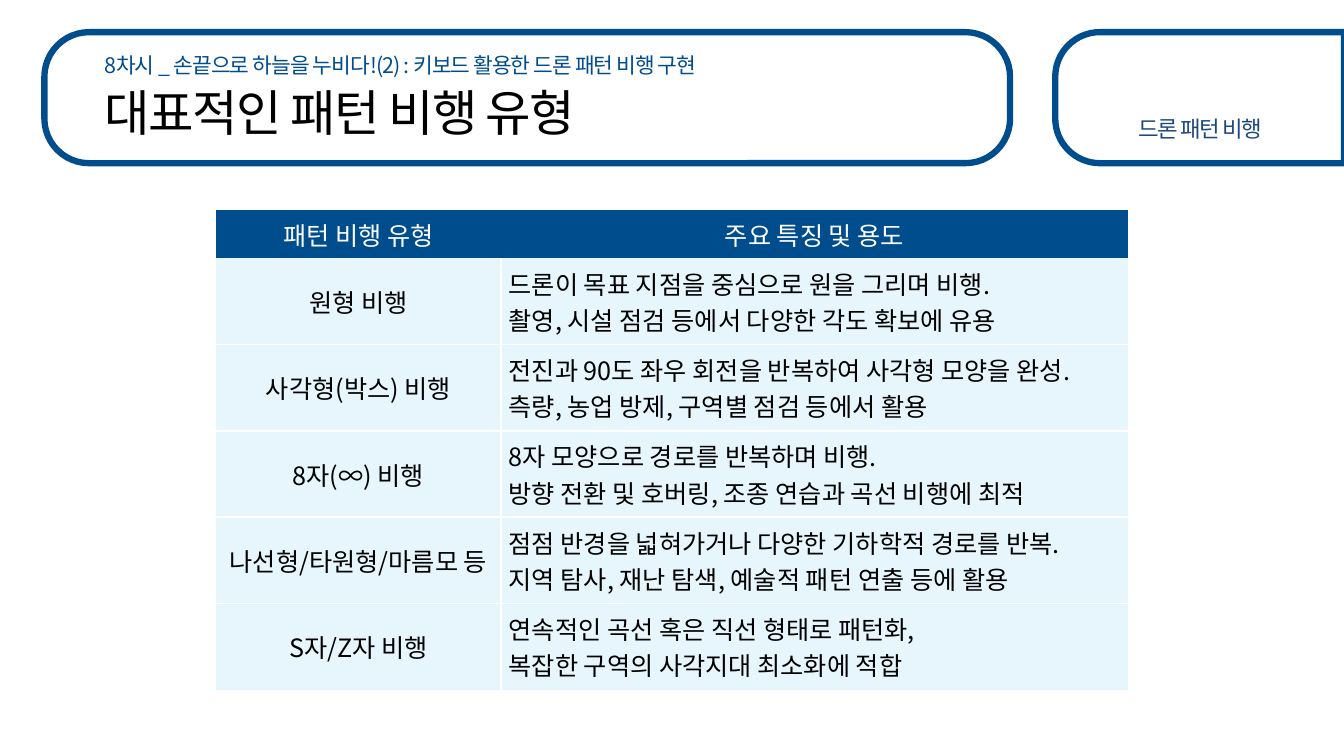
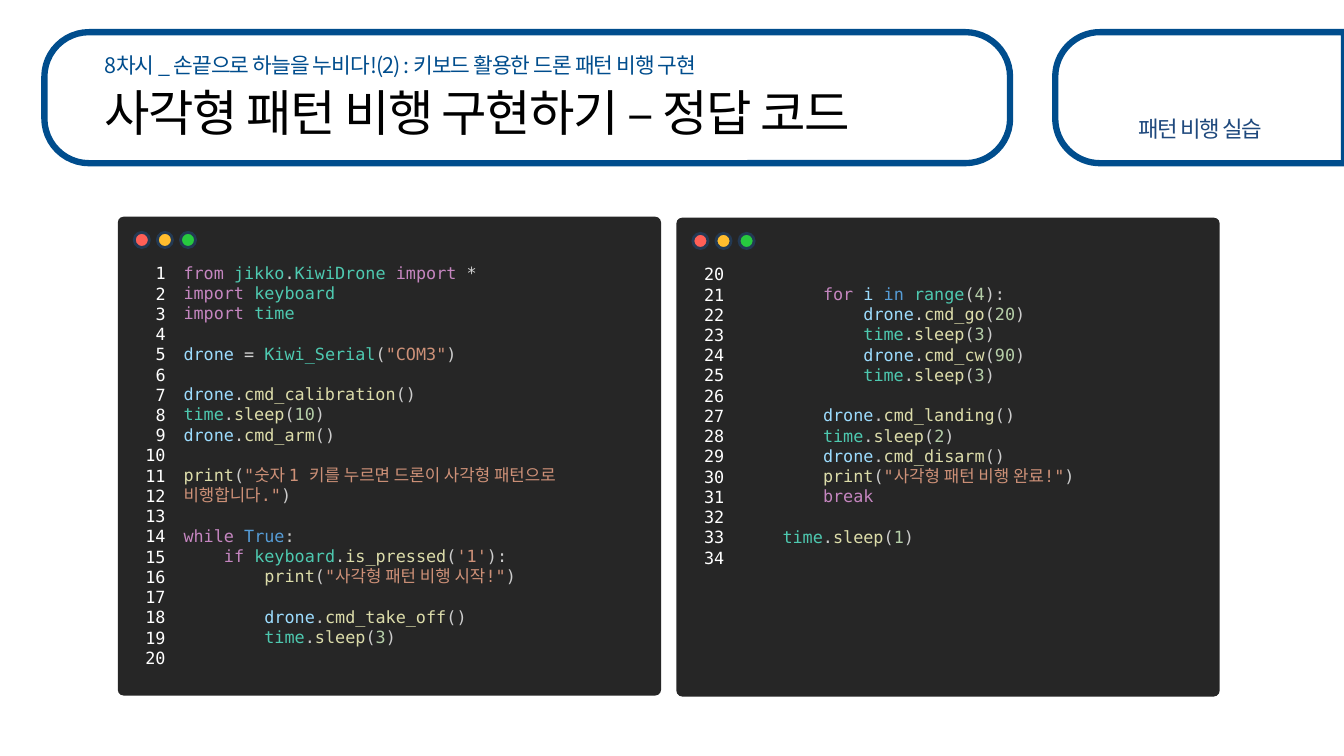
"""Builds two lesson slides on drone flight patterns: a table and a code answer."""
import math

import pptx
import pptx.dml.color
import pptx.enum.shapes
import pptx.enum.text
import pptx.oxml.ns
import pptx.util
from lxml import etree

Pt = pptx.util.Pt
RGBColor = pptx.dml.color.RGBColor
SHAPE = pptx.enum.shapes.MSO_SHAPE
ALIGN = pptx.enum.text.PP_ALIGN
qn = pptx.oxml.ns.qn

NAVY = RGBColor(0x00, 0x4D, 0x8D)
SLATE = RGBColor(0x1F, 0x49, 0x7D)
WHITE = RGBColor(0xFF, 0xFF, 0xFF)
BLACK = RGBColor(0x00, 0x00, 0x00)
PALE = RGBColor(0xE7, 0xF6, 0xFD)
PANEL = RGBColor(0x26, 0x26, 0x26)
DOT_EDGE = RGBColor(0x23, 0x39, 0x53)
DOTS = (RGBColor(0xFF, 0x5F, 0x56), RGBColor(0xFF, 0xBD, 0x2E), RGBColor(0x27, 0xC9, 0x3F))
KEYWORD = RGBColor(0xC5, 0x86, 0xC0)
TYPE = RGBColor(0x4E, 0xC9, 0xB0)
PLAIN = RGBColor(0xCC, 0xCC, 0xCC)
OPERATOR = RGBColor(0xD4, 0xD4, 0xD4)
VARIABLE = RGBColor(0x9C, 0xDC, 0xFE)
FUNCTION = RGBColor(0xDC, 0xDC, 0xAA)
STRING = RGBColor(0xCE, 0x91, 0x78)
NUMBER = RGBColor(0xB5, 0xCE, 0xA8)
CONSTANT = RGBColor(0x56, 0x9C, 0xD6)

SANS = "Noto Sans CJK KR"
MONO = "DejaVu Sans Mono"
SLIDE_WIDTH, SLIDE_HEIGHT = 960, 540
BAND_TOP, BAND_HEIGHT, BAND_RADIUS = 23, 93.6, 31.9
CODE_PITCH = 14.45

LESSON = ("8차시 _ ", "손끝으로 하늘을 누비다!(2) : 키보드 활용한 드론 패턴 비행 구현")

TABLE_HEAD = ("패턴 비행 유형", "주요 특징 및 용도")
TABLE_ROWS = [
    ("원형 비행",
     ("드론이 목표 지점을 중심으로 원을 그리며 비행.", "촬영, 시설 점검 등에서 다양한 각도 확보에 유용")),
    ("사각형(박스) 비행",
     ("전진과 90도 좌우 회전을 반복하여 사각형 모양을 완성.", "측량, 농업 방제, 구역별 점검 등에서 활용")),
    ("8자(∞) 비행",
     ("8자 모양으로 경로를 반복하며 비행.", "방향 전환 및 호버링, 조종 연습과 곡선 비행에 최적")),
    ("나선형/타원형/마름모 등",
     ("점점 반경을 넓혀가거나 다양한 기하학적 경로를 반복.", "지역 탐사, 재난 탐색, 예술적 패턴 연출 등에 활용")),
    ("S자/Z자 비행",
     ("연속적인 곡선 혹은 직선 형태로 패턴화,", "복잡한 구역의 사각지대 최소화에 적합")),
]

TOKEN_COLOURS = {
    KEYWORD: ("from", "import", "while", "if", "for", "break"),
    TYPE: ("jikko", "KiwiDrone", "keyboard", "time", "Kiwi_Serial", "range"),
    CONSTANT: ("True", "in"),
    VARIABLE: ("drone", "i"),
    OPERATOR: ("*", "="),
    FUNCTION: ("cmd_calibration", "sleep", "cmd_arm", "print", "is_pressed", "cmd_take_off",
               "cmd_go", "cmd_cw", "cmd_landing", "cmd_disarm"),
}
COLOUR_OF = {word: colour for colour, words in TOKEN_COLOURS.items() for word in words}

CODE_START = [
    "from |jikko|.|KiwiDrone |import |*",
    "import |keyboard",
    "import |time",
    "",
    "drone |= |Kiwi_Serial|(|\"COM3\"|)",
    "",
    "drone|.|cmd_calibration|()",
    "time|.|sleep|(|10|)",
    "drone|.|cmd_arm|()",
    "",
    "print|(|\"숫자 1 키를 누르면 드론이 사각형 패턴으로 비행합니다.\"|)",
    "",
    "while |True|:",
    "    |if |keyboard|.|is_pressed|(|'1'|):",
    "        |print|(|\"사각형 패턴 비행 시작!\"|)",
    "",
    "        |drone|.|cmd_take_off|()",
    "        |time|.|sleep|(|3|)",
]
CODE_END = [
    "",
    "        |for |i |in |range|(|4|):",
    "            |drone|.|cmd_go|(|20|)",
    "            |time|.|sleep|(|3|)",
    "            |drone|.|cmd_cw|(|90|)",
    "            |time|.|sleep|(|3|)",
    "",
    "        |drone|.|cmd_landing|()",
    "        |time|.|sleep|(|2|)",
    "        |drone|.|cmd_disarm|()",
    "        |print|(|\"사각형 패턴 비행 완료!\"|)",
    "        |break",
    "",
    "    |time|.|sleep|(|1|)",
]
CODE_PANELS = [
    (84.2, 154.8, CODE_START, range(1, 21)),
    (483.2, 155.5, CODE_END, range(20, 35)),
]


def add_span(para, text, size, colour, font=SANS, spacing=0):
    span = para.add_run()
    span.text = text
    span.font.size = Pt(size)
    span.font.name = font
    span.font.color.rgb = colour
    props = span._r.get_or_add_rPr()
    etree.SubElement(props, qn("a:ea")).set("typeface", SANS)
    if spacing:
        props.set("spc", str(round(spacing * 100)))


def add_box(page, left, top, width, height, inset=0):
    box = page.shapes.add_textbox(Pt(left), Pt(top), Pt(width), Pt(height))
    frame = box.text_frame
    frame.word_wrap = True
    frame.margin_top = frame.margin_bottom = Pt(inset)
    return frame


def paragraphs(frame, count):
    return [frame.paragraphs[0]] + [frame.add_paragraph() for _ in range(count - 1)]


def paint(shape, fill, line=None, weight=0):
    shape.shadow.inherit = False
    shape.fill.solid()
    shape.fill.fore_color.rgb = fill
    if line is None:
        shape.line.fill.background()
    else:
        shape.line.color.rgb = line
        shape.line.width = Pt(weight)


def add_shape(page, preset, left, top, width, height):
    return page.shapes.add_shape(preset, Pt(left), Pt(top), Pt(width), Pt(height))


def add_side_tab(page):
    left, bottom = 753.8, BAND_TOP + BAND_HEIGHT
    centre_x, steps = left + BAND_RADIUS, 16
    points = [(SLIDE_WIDTH, BAND_TOP), (SLIDE_WIDTH, bottom)]
    for centre_y, start in ((bottom - BAND_RADIUS, 90), (BAND_TOP + BAND_RADIUS, 180)):
        for step in range(steps + 1):
            angle = math.radians(start + 90 * step / steps)
            points.append((centre_x + BAND_RADIUS * math.cos(angle),
                           centre_y + BAND_RADIUS * math.sin(angle)))
    corners = [(Pt(x), Pt(y)) for x, y in points]
    builder = page.shapes.build_freeform(*corners[0])
    builder.add_line_segments(corners[1:], close=True)
    paint(builder.convert_to_shape(), WHITE, NAVY, 4.5)


def add_page(deck, title, topic):
    page = deck.slides.add_slide(deck.slide_layouts[6])
    add_side_tab(page)
    band = add_shape(page, SHAPE.ROUNDED_RECTANGLE, 31.7, BAND_TOP, 689.8, BAND_HEIGHT)
    band.adjustments[0] = BAND_RADIUS / BAND_HEIGHT
    paint(band, WHITE, NAVY, 4.5)
    para = add_box(page, 67.7, 37.4, 620, 22.3).paragraphs[0]
    for text, spacing in zip(LESSON, (-1, -0.7)):
        add_span(para, text, 15.3, NAVY, spacing=spacing)
    para = add_box(page, 67.7, 59, 620, 42.5).paragraphs[0]
    add_span(para, title, 35.3, BLACK, spacing=-1)
    para = add_box(page, 796.3, 82.1, 121.7, 28).paragraphs[0]
    para.alignment = ALIGN.CENTER
    add_span(para, topic, 16, SLATE, spacing=-1)
    return page


def add_border(cell, side):
    line = etree.SubElement(cell._tc.get_or_add_tcPr(), qn("a:ln" + side), w=str(Pt(1.5)))
    fill = etree.SubElement(line, qn("a:solidFill"))
    etree.SubElement(fill, qn("a:srgbClr"), val=str(WHITE))


def fill_cell(cell, lines, align, colour, fill, borders=""):
    for side in borders:
        add_border(cell, side)
    cell.fill.solid()
    cell.fill.fore_color.rgb = fill
    cell.vertical_anchor = pptx.enum.text.MSO_ANCHOR.MIDDLE
    cell.margin_left = cell.margin_right = Pt(5.6)
    cell.margin_top = cell.margin_bottom = Pt(2.8)
    for para, text in zip(paragraphs(cell.text_frame, len(lines)), lines):
        para.alignment = align
        add_span(para, text, 18, colour)


def add_pattern_table(page):
    widths, heights = (203.6, 448), [34.4] + [61.7] * len(TABLE_ROWS)
    frame = page.shapes.add_table(len(heights), len(widths), Pt(154.2), Pt(150),
                                  Pt(sum(widths)), Pt(sum(heights)))
    table = frame.table
    table.first_row = table.horz_banding = False
    style = table._tbl.tblPr.find(qn("a:tableStyleId"))
    style.text = "{2D5ABB26-0587-4C30-8999-92F81FD0307C}"
    for column, width in zip(table.columns, widths):
        column.width = Pt(width)
    for row, height in zip(table.rows, heights):
        row.height = Pt(height)
    for index, text in enumerate(TABLE_HEAD):
        fill_cell(table.cell(0, index), [text], ALIGN.CENTER, WHITE, NAVY)
    for number, (kind, uses) in enumerate(TABLE_ROWS, 1):
        edges = ("T" if number > 1 else "") + ("B" if number < len(TABLE_ROWS) else "")
        fill_cell(table.cell(number, 0), [kind], ALIGN.CENTER, BLACK, PALE, "R" + edges)
        fill_cell(table.cell(number, 1), uses, ALIGN.LEFT, BLACK, PALE, "L" + edges)


def token_colour(token):
    word = token.strip()
    if word.isdigit():
        return NUMBER
    if word[:1] in ("'", '"') and word:
        return STRING
    return COLOUR_OF.get(word, PLAIN)


def add_code_panel(page, left, top, code, numbers):
    panel = add_shape(page, SHAPE.ROUNDED_RECTANGLE, left, top, 388, 342)
    panel.adjustments[0] = 0.012
    paint(panel, PANEL)
    for index, colour in enumerate(DOTS):
        dot = add_shape(page, SHAPE.OVAL, left + 11.7 + 16.5 * index, top + 11.2, 10.8, 10.8)
        paint(dot, colour, DOT_EDGE, 2)

    height = len(numbers) * CODE_PITCH + 7.2
    frame = add_box(page, left + 39.8, top + 29, 311, height, 3.6)
    written = [line for line in code if line]
    paras = iter(paragraphs(frame, len(written)))
    gap = False
    for line in code:
        if not line:
            gap = True
            continue
        para = next(paras)
        para.line_spacing = Pt(CODE_PITCH)
        if gap:
            para.add_line_break()
        gap = False
        for token in line.split("|"):
            add_span(para, token, 12, token_colour(token), MONO)

    frame = add_box(page, left + 10.2, top + 29.5, 31, height, 3.6)
    for para, number in zip(paragraphs(frame, len(numbers)), numbers):
        para.alignment = ALIGN.RIGHT
        para.line_spacing = Pt(CODE_PITCH)
        add_span(para, str(number), 12, WHITE, MONO)


def main():
    deck = pptx.Presentation()
    deck.slide_width, deck.slide_height = Pt(SLIDE_WIDTH), Pt(SLIDE_HEIGHT)
    add_pattern_table(add_page(deck, "대표적인 패턴 비행 유형", "드론 패턴 비행"))
    page = add_page(deck, "사각형 패턴 비행 구현하기 – 정답 코드", "패턴 비행 실습")
    for panel in CODE_PANELS:
        add_code_panel(page, *panel)
    deck.save("out.pptx")


if __name__ == "__main__":
    main()
